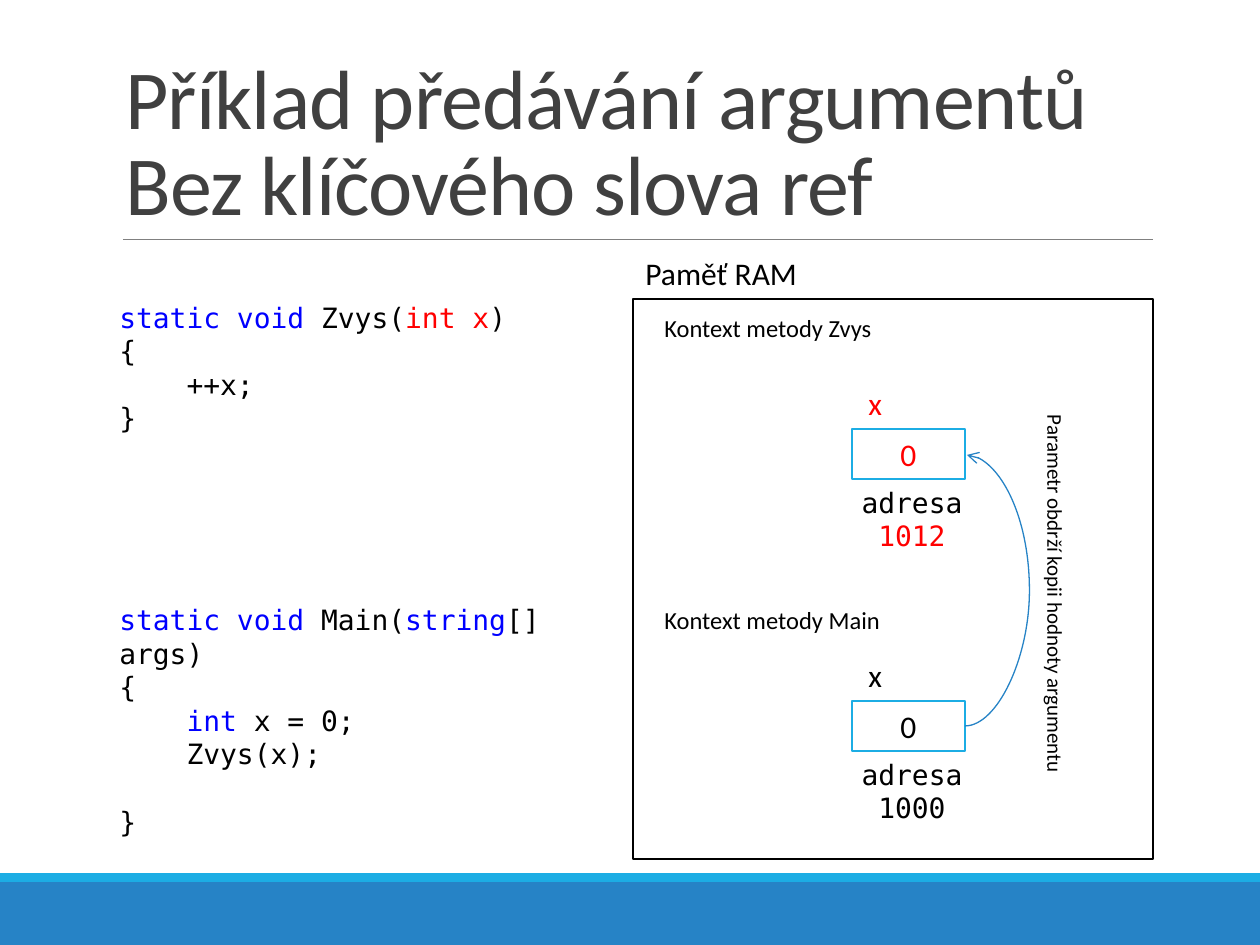
from dataclasses import dataclass
from typing import Optional

from lxml import etree
from pptx import Presentation
from pptx import util as u
from pptx.dml.color import RGBColor
from pptx.enum import shapes, text
from pptx.oxml import ns

PX_PER_INCH = 126
SANS, MONO = "Calibri", "DejaVu Sans Mono"
BLACK, WHITE, RED, KEYWORD = "000000", "FFFFFF", "FF0000", "0000FF"
BLUE, CYAN, GRAY, TITLE = "2683C6", "1CADE4", "808080", "404040"
CENTER = text.PP_ALIGN.CENTER
LINE_GAP = 19.2


def px(length: int) -> int:
    return u.Inches(length / PX_PER_INCH)


def color(value: str) -> RGBColor:
    return RGBColor.from_string(value)


def apply(target, values: dict) -> None:
    for name, value in values.items():
        setattr(target, name, value)


@dataclass(frozen=True)
class Area:
    left: int
    top: int
    width: int
    height: int

    def emu(self) -> tuple[int, ...]:
        return tuple(px(n) for n in (self.left, self.top, self.width, self.height))


@dataclass(frozen=True)
class Span:
    words: str
    ink: str = BLACK


@dataclass(frozen=True)
class Line:
    spans: tuple[Span, ...]
    gap_lines: int = 0


@dataclass(frozen=True)
class Variable:
    top: int
    address: str
    ink: str


@dataclass(frozen=True)
class Label:
    area: Area
    words: str
    size: int
    rotation: int = 0


def line_of(*spans: Span, gap_lines: int = 0) -> Line:
    return Line(spans, gap_lines)


def write(box, lines: list[Line], size: int, face: str = SANS, align=text.PP_ALIGN.LEFT,
          anchor=text.MSO_ANCHOR.TOP) -> None:
    frame = box.text_frame
    apply(frame, {"word_wrap": True, "vertical_anchor": anchor})
    for index, line in enumerate(lines):
        para = frame.paragraphs[0] if index == 0 else frame.add_paragraph()
        para.alignment = align
        if line.gap_lines:
            para.space_before = u.Pt(line.gap_lines * LINE_GAP)
        for item in line.spans:
            span = para.add_run()
            span.text = item.words
            apply(span.font, {"size": u.Pt(size), "name": face})
            span.font.color.rgb = color(item.ink)


def add_text(page, area: Area, lines: list[Line], size: int, **style):
    box = page.shapes.add_textbox(*area.emu())
    write(box, lines, size, **style)
    return box


def add_box(page, area: Area, fill: str, outline: Optional[str] = None):
    box = page.shapes.add_shape(shapes.MSO_SHAPE.RECTANGLE, *area.emu())
    box.shadow.inherit = False
    box.fill.solid()
    box.fill.fore_color.rgb = color(fill)
    if outline:
        box.line.color.rgb = color(outline)
        box.line.width = u.Pt(1.25)
    else:
        box.line.fill.background()
    return box


def add_line(page, kind, start: tuple[int, int], end: tuple[int, int], ink: str, width: float):
    link = page.shapes.add_connector(kind, *(px(n) for n in start + end))
    link.line.color.rgb = color(ink)
    link.line.width = u.Pt(width)
    etree.SubElement(link._element.spPr, ns.qn("a:effectLst"))
    return link


def add_title(page) -> None:
    box = add_text(page, Area(113, 39, 1040, 200), [line_of(Span("Příklad předávání argumentů", TITLE))],
                   48, anchor=text.MSO_ANCHOR.BOTTOM)
    para = box.text_frame.paragraphs[0]
    para.line_spacing = 0.85
    para.add_line_break()
    second = para.add_run()
    second.text = "Bez klíčového slova ref"
    apply(second.font, {"size": u.Pt(48), "name": SANS})
    second.font.color.rgb = color(TITLE)
    for properties in para._p.iter(ns.qn("a:rPr")):
        properties.set("spc", "-50")
        properties.set("sz", "4800")


def add_variable(page, variable: Variable) -> None:
    cell = add_box(page, Area(852, variable.top, 113, 50), WHITE, CYAN)
    write(cell, [line_of(Span("0", variable.ink))], 18, align=CENTER, anchor=text.MSO_ANCHOR.MIDDLE)
    add_text(page, Area(856, variable.top - 51, 110, 50), [line_of(Span("x", variable.ink))], 18)
    add_text(page, Area(810, variable.top + 50, 204, 47),
             [line_of(Span("adresa "), Span(variable.address, variable.ink))],
             16, face=MONO, align=CENTER)


def add_copy_arrow(page, start: tuple[int, int], end: tuple[int, int], bulge: int) -> None:
    arrow = add_line(page, shapes.MSO_CONNECTOR.CURVE, start, end, BLUE, 0.75)
    geometry = arrow._element.spPr.find(ns.qn("a:prstGeom"))
    guides = geometry.find(ns.qn("a:avLst"))
    if guides is None:
        guides = etree.SubElement(geometry, ns.qn("a:avLst"))
    ratio = round(bulge / (end[0] - start[0]) * 100000)
    etree.SubElement(guides, ns.qn("a:gd"), name="adj1", fmla=f"val {ratio}")
    etree.SubElement(arrow.line._get_or_add_ln(), ns.qn("a:tailEnd"), type="arrow")


CODE = [
    line_of(Span("static void ", KEYWORD), Span("Zvys("), Span("int x", RED), Span(")")),
    line_of(Span("{")),
    line_of(Span("    ++x;")),
    line_of(Span("}")),
    line_of(Span("static void", KEYWORD), Span(" Main("), Span("string", KEYWORD), Span("[] args)"),
            gap_lines=5),
    line_of(Span("{")),
    line_of(Span("    "), Span("int", KEYWORD), Span(" x = 0;")),
    line_of(Span("    Zvys(x);")),
    line_of(Span("}"), gap_lines=1),
]
LABELS = [
    Label(Area(633, 248, 234, 50), "Paměť RAM", 18),
    Label(Area(652, 307, 393, 43), "Kontext metody Zvys", 14),
    Label(Area(652, 599, 242, 43), "Kontext metody Main", 14),
    Label(Area(859, 575, 393, 38), "Parametr obdrží kopii hodnoty argumentu", 12, 90),
]
VARIABLES = [Variable(429, "1012", RED), Variable(701, "1000", BLACK)]


def main() -> None:
    deck = Presentation()
    apply(deck, {"slide_width": px(1260), "slide_height": px(945)})
    page = deck.slides.add_slide(deck.slide_layouts[6])
    add_box(page, Area(0, 882, 1260, 63), BLUE)
    add_box(page, Area(0, 873, 1260, 9), CYAN)
    add_line(page, shapes.MSO_CONNECTOR.STRAIGHT, (123, 239), (1153, 239), GRAY, 0.5)
    add_box(page, Area(633, 299, 520, 560), WHITE, BLACK)
    add_title(page)
    add_text(page, Area(107, 294, 519, 522), CODE, 16, face=MONO)
    for label in LABELS:
        align = CENTER if label.rotation else text.PP_ALIGN.LEFT
        box = add_text(page, label.area, [line_of(Span(label.words))], label.size, align=align)
        box.rotation = label.rotation
    for variable in VARIABLES:
        add_variable(page, variable)
    add_copy_arrow(page, (965, 726), (967, 455), 65)
    deck.save("out.pptx")


if __name__ == "__main__":
    main()
